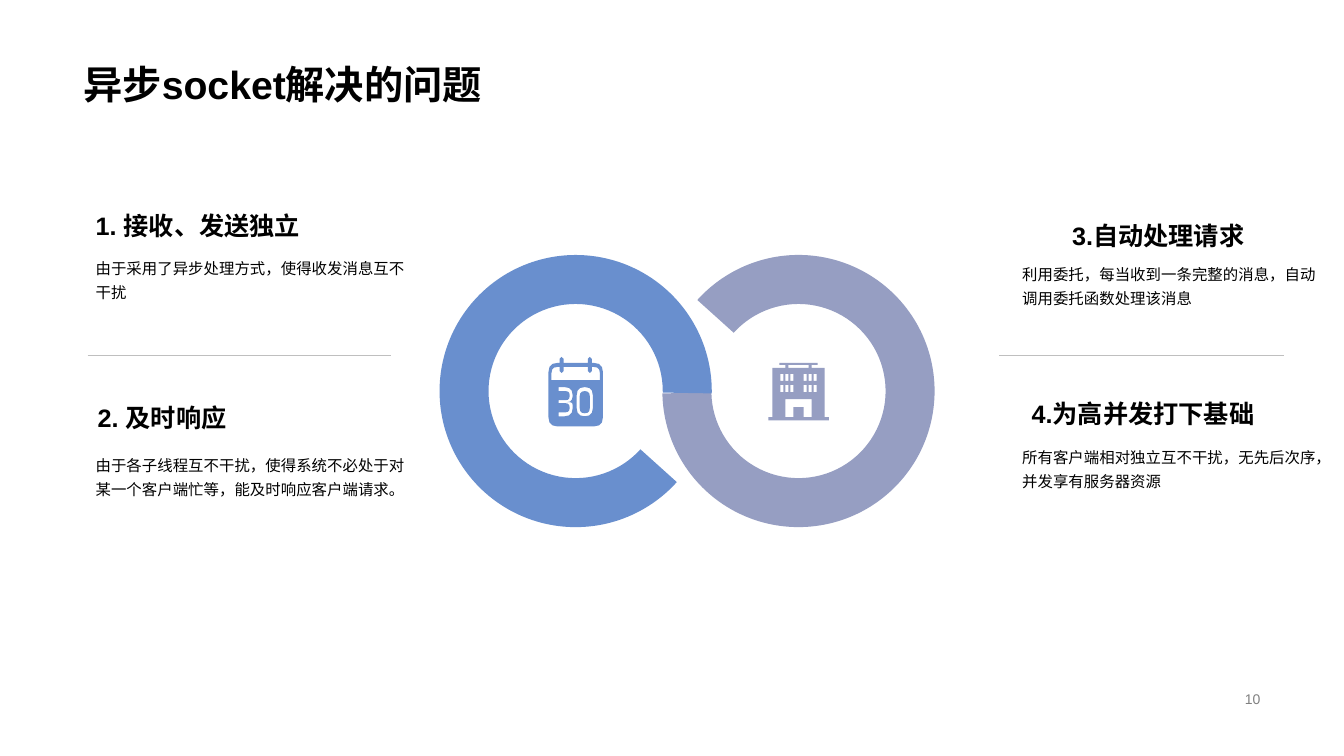
from dataclasses import dataclass
from itertools import product

from lxml.etree import SubElement
from pptx import Presentation
from pptx.dml.color import RGBColor as RGB
from pptx.enum.shapes import MSO_SHAPE as SHAPE
from pptx.enum.text import MSO_ANCHOR as ANCHOR, PP_ALIGN as ALIGN
from pptx.oxml.ns import qn
from pptx.util import Inches, Pt


@dataclass(frozen=True)
class Theme:
    """Colours, font and type sizes of the slide."""
    font: str = "Arial"
    ink: RGB = RGB(0, 0, 0)
    grey: RGB = RGB(0x80, 0x80, 0x80)
    rule: RGB = RGB(0xBF, 0xBF, 0xBF)
    blue: RGB = RGB(0x69, 0x8F, 0xCE)
    violet: RGB = RGB(0x96, 0x9E, 0xC2)
    title: int = 28
    heading: int = 18
    body: int = 11
    number: int = 10


T = Theme()


def add_text(s, box, text, size, color=T.ink, bold=False, align=ALIGN.LEFT,
             anchor=ANCHOR.TOP, wrap=True, spacing=None):
    """Add one paragraph of text in a box."""
    tf = s.shapes.add_textbox(*map(Inches, box)).text_frame
    tf.word_wrap = wrap
    tf.vertical_anchor = anchor
    p = tf.paragraphs[0]
    p.text = text
    p.alignment = align
    p.line_spacing = spacing
    font = p.runs[0].font
    font.name, font.size, font.bold = T.font, Pt(size), bold
    font.color.rgb = color


def paint(sp, color):
    """Give a shape a plain fill without line or shadow."""
    sp.shadow.inherit = False
    sp.fill.solid()
    sp.fill.fore_color.rgb = color
    sp.line.fill.background()


def add_outline(s, x, y, contours, color):
    """Add a filled freeform whose inner contours are holes."""
    fb = None
    for contour in contours:
        pts = [(Inches(x + dx), Inches(y + dy)) for dx, dy in contour]
        if fb is None:
            fb = s.shapes.build_freeform(*pts[0])
        else:
            fb.move_to(*pts[0])
        fb.add_line_segments(pts[1:], close=True)
    paint(fb.convert_to_shape(), color)


def rounded(corners):
    """Return a polygon with each (x, y, radius) corner rounded."""
    pts = []
    for i, (x, y, radius) in enumerate(corners):
        if not radius:
            pts.append((x, y))
            continue
        ends = []
        for nx, ny, _ in (corners[i - 1], corners[(i + 1) % len(corners)]):
            k = radius / max(abs(nx - x), abs(ny - y))
            ends.append((x + k * (nx - x), y + k * (ny - y)))
        (ax, ay), (bx, by) = ends
        steps = 3 if radius > 0.02 else 1
        for n in range(steps + 1):
            t = n / steps
            u = 1 - t
            pts.append((u * u * ax + 2 * u * t * x + t * t * bx,
                        u * u * ay + 2 * u * t * y + t * t * by))
    return pts


def pill(x, y, w, h, radius=0):
    """Return a rectangle contour with rounded corners."""
    return rounded([(x, y, radius), (x + w, y, radius),
                    (x + w, y + h, radius), (x, y + h, radius)])


def add_ring(s, x, y, start, end, color):
    """Add an open ring that runs clockwise from start to end in degrees."""
    sp = s.shapes.add_shape(SHAPE.BLOCK_ARC, Inches(x), Inches(y), Inches(2.7), Inches(2.7))
    for i, value in enumerate((start * 0.6, end * 0.6, 0.18)):
        sp.adjustments[i] = value
    paint(sp, color)


def add_calendar(s, x, y, color):
    """Add the calendar icon with its top left at x, y."""
    def pinned(left, right, top, tip, bottom, r_top, r_bottom):
        pins = [c for a in (0.11, 0.39) for c in
                ((a, top, 0), (a, tip, 0.02), (a + 0.04, tip, 0.02), (a + 0.04, top, 0))]
        return rounded([(left, top, r_top), *pins, (right, top, r_top),
                        (right, bottom, r_bottom), (left, bottom, r_bottom)])

    three = rounded([
        (0.1, 0.3, 0), (0.24, 0.3, 0.08), (0.24, 0.45, 0.06), (0.21, 0.45, 0),
        (0.24, 0.45, 0.03), (0.24, 0.59, 0.08), (0.1, 0.59, 0), (0.1, 0.55, 0),
        (0.21, 0.55, 0.04), (0.21, 0.46, 0.04), (0.1, 0.46, 0), (0.1, 0.43, 0),
        (0.21, 0.43, 0.04), (0.21, 0.34, 0.04), (0.1, 0.34, 0)])
    add_outline(s, x, y, [
        pinned(0, 0.54, 0.06, 0, 0.69, 0.09, 0.09),
        pinned(0.03, 0.51, 0.1, 0.16, 0.23, 0.06, 0),
        three, pill(0.28, 0.3, 0.16, 0.29, 0.08), pill(0.31, 0.34, 0.1, 0.22, 0.05),
    ], color)


def add_building(s, x, y, color):
    """Add the office building icon with its top left at x, y."""
    left = [(0, 0.57), (0, 0.54), (0.04, 0.54), (0.04, 0.05),
            (0.17, 0.05), (0.17, 0.02), (0.11, 0.02), (0.11, 0)]
    door = [(0.17, 0.54), (0.17, 0.36), (0.43, 0.36), (0.43, 0.54),
            (0.35, 0.54), (0.35, 0.44), (0.25, 0.44), (0.25, 0.54)]
    right = [(0.6 - cx, cy) for cx, cy in reversed(left)]
    windows = [pill(wx, wy, 0.03, 0.07) for wx, wy in
               product((0.12, 0.17, 0.22, 0.35, 0.4, 0.45), (0.11, 0.22))]
    add_outline(s, x, y, [left + right, door, pill(0.2, 0.02, 0.2, 0.03), *windows], color)


def add_infinity(s, x, y):
    """Add the interlocked rings and their icons in the box at x, y."""
    add_ring(s, x + 2.21, y, 222, 179, T.violet)
    add_ring(s, x, y, 42, 1, T.blue)
    add_calendar(s, x + 1.08, y + 1.01, T.blue)
    add_building(s, x + 3.26, y + 1.07, T.violet)


def add_point(s, heading_box, body_box, heading, body, align):
    """Add a bold heading and the paragraph below it."""
    add_text(s, heading_box, heading, T.heading, bold=True, align=align,
             anchor=ANCHOR.BOTTOM, wrap=False)
    add_text(s, body_box, body, T.body, spacing=1.3)


def add_rule(s, x, y, w):
    """Add a thin horizontal divider."""
    line = s.shapes.add_connector(1, Inches(x), Inches(y), Inches(x + w), Inches(y))
    line.line.color.rgb = T.rule
    line.line.width = Pt(0.25)
    SubElement(line._element.spPr, qn("a:effectLst"))


def add_column(s, x, w, points, align, rule):
    """Add two points of a column and the divider between them."""
    for dx, heading_y, body_y, heading, body in points:
        add_point(s, (x + dx, heading_y, w, 0.42), (x, body_y, w, 0.61),
                  heading, body, align)
    add_rule(s, *rule)


def build_slide(prs):
    """Build the slide on asynchronous sockets."""
    s = prs.slides.add_slide(prs.slide_layouts[6])
    add_text(s, (0.73, 0, 11.87, 1.12), "异步socket解决的问题", T.title, bold=True,
             anchor=ANCHOR.BOTTOM, spacing=0.9)
    add_text(s, (9.42, 6.82, 3.18, 0.23), "10", T.number, T.grey,
             align=ALIGN.RIGHT, anchor=ANCHOR.MIDDLE)
    add_infinity(s, 4.36, 2.53)
    add_column(s, 0.85, 3.39, [
        (0, 2.02, 2.47, "1. 接收、发送独立",
         "由于采用了异步处理方式，使得收发消息互不干扰"),
        (0.02, 3.92, 4.42, "2. 及时响应",
         "由于各子线程互不干扰，使得系统不必处于对某一个客户端忙等，能及时响应客户端请求。"),
    ], ALIGN.LEFT, (0.87, 3.52, 3.01))
    add_column(s, 10.04, 3.17, [
        (-0.77, 2.11, 2.53, "3.自动处理请求",
         "利用委托，每当收到一条完整的消息，自动调用委托函数处理该消息"),
        (-0.67, 3.88, 4.34, "4.为高并发打下基础",
         "所有客户端相对独立互不干扰，无先后次序，并发享有服务器资源"),
    ], ALIGN.RIGHT, (9.91, 3.52, 2.83))


prs = Presentation()
prs.slide_width, prs.slide_height = Inches(13.33), Inches(7.5)
build_slide(prs)
prs.save("out.pptx")
